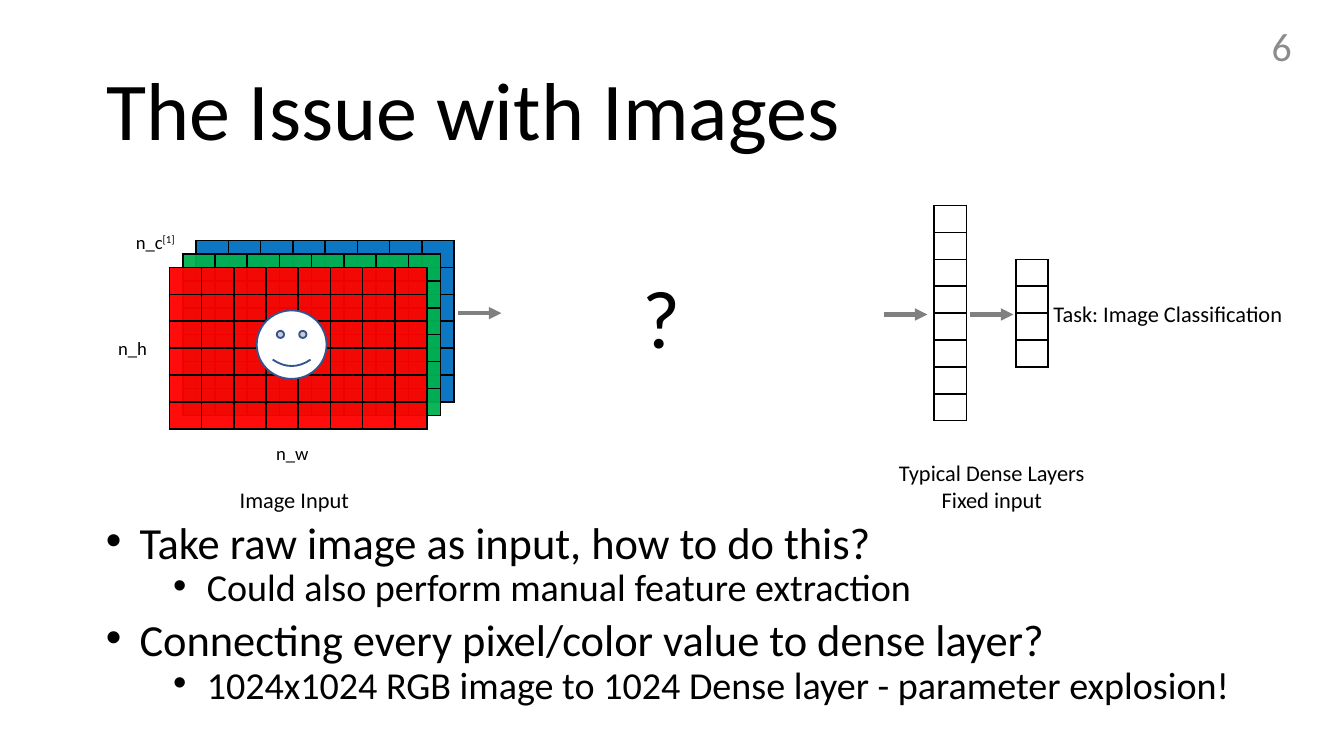
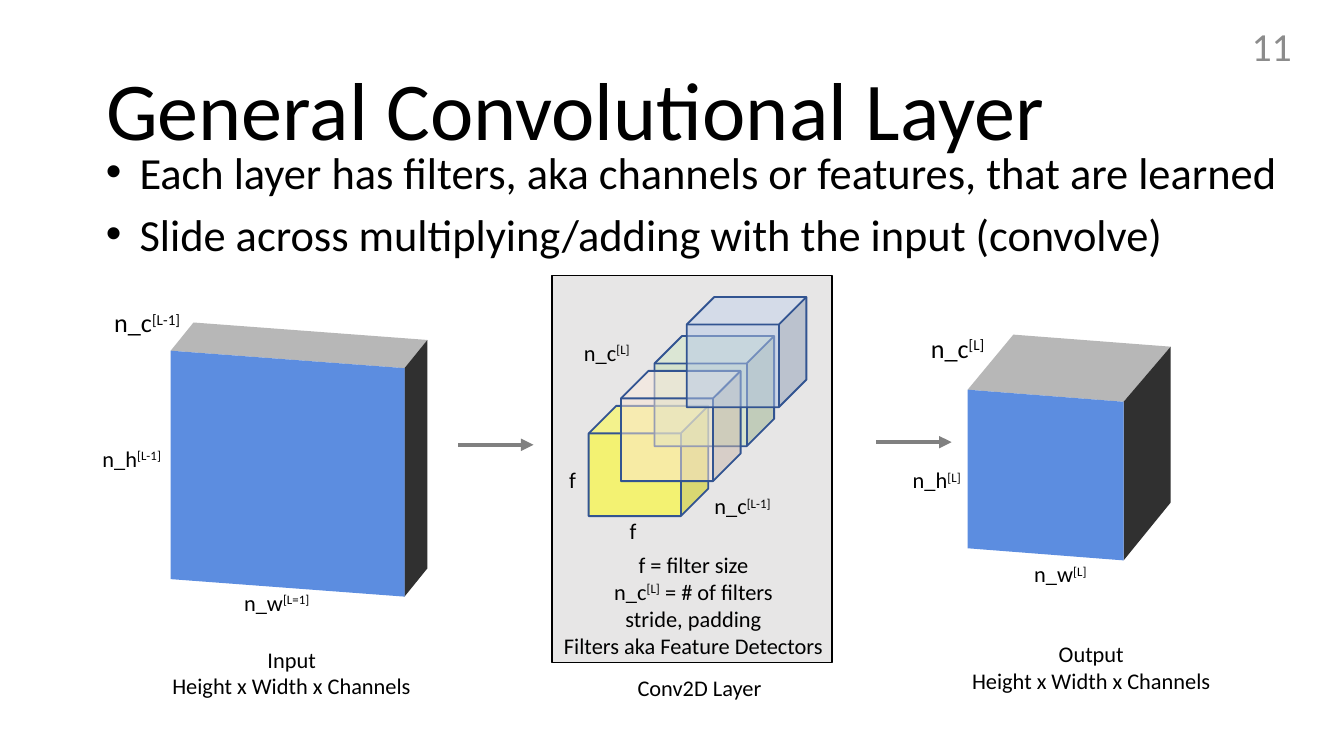
from dataclasses import dataclass
from typing import NamedTuple

from lxml.etree import SubElement
from pptx import Presentation
from pptx.dml.color import RGBColor
from pptx.enum.shapes import MSO_CONNECTOR, MSO_SHAPE
from pptx.enum.text import MSO_ANCHOR, PP_ALIGN
from pptx.oxml.ns import qn
from pptx.util import Emu, Pt

PX = 9144  # 100 px to the inch
SLIDE_WIDTH = 1000


@dataclass(frozen=True)
class Theme:
    font: str = "Calibri"
    ink: str = "000000"
    paper: str = "FFFFFF"
    number: str = "8C8C8C"
    arrow: str = "808080"
    outline: str = "325491"
    panel: str = "E7E6E6"
    red: str = "FF0000"
    green: str = "00B050"
    blue: str = "0070C0"
    box_front: str = "5C8DE0"
    box_top: str = "B7B7B7"
    box_side: str = "303030"
    filters: tuple[str, ...] = ("FFFF00", "C5E0B4", "FBE5D6", "B4C7E7")
    title_size: float = 44
    number_size: float = 21.3
    bullet_sizes: tuple[float, ...] = (23.8, 20.4)
    large: float = 14
    label: float = 12
    small: float = 10


THEME = Theme()


class Area(NamedTuple):
    left: int
    top: int
    width: int
    height: int


class Label(NamedTuple):
    text: str  # every second part between bars is superscript
    area: Area
    size: float = THEME.label


class Grid(NamedTuple):
    left: int
    top: int
    columns: int
    rows: int
    color: str


class Arrow(NamedTuple):
    start: int
    end: int
    y: int


class Bullet(NamedTuple):
    text: str
    level: int = 0


class Face(NamedTuple):
    color: str
    points: tuple[tuple[int, int], ...]


CELL_WIDTH, CELL_HEIGHT = 24, 20
TITLE_AREA = Area(69, 30, 862, 109)
NUMBER_AREA = Area(746, 19, 225, 30)
LEVEL_MARGINS = (25, 75)
LEVEL_SPACES = (10, 5)


def emu(*lengths: int) -> tuple[Emu, ...]:
    return tuple(Emu(length * PX) for length in lengths)


def rgb(color: str) -> RGBColor:
    return RGBColor.from_string(color)


def format_runs(paragraph, size: float, color: str = THEME.ink) -> None:
    for run in paragraph.runs:
        run.font.name = THEME.font
        run.font.size = Pt(size)
        run.font.color.rgb = rgb(color)


def set_fill(fill, color: str, opacity: int = 100) -> None:
    fill.solid()
    fill.fore_color.rgb = rgb(color)
    if opacity < 100:
        color_element = fill._xPr.find(f"{qn('a:solidFill')}/{qn('a:srgbClr')}")
        SubElement(color_element, qn("a:alpha"), val=str(opacity * 1000))


def style_shape(shape, fill: str, line: str | None, opacity: int = 100) -> None:
    shape.shadow.inherit = False
    set_fill(shape.fill, fill, opacity)
    if line is None:
        shape.line.fill.background()
    else:
        shape.line.color.rgb = rgb(line)
        shape.line.width = Pt(1)


def add_preset(slide, kind, area: Area, fill: str, line: str, opacity: int = 100) -> None:
    style_shape(slide.shapes.add_shape(kind, *emu(*area)), fill, line, opacity)


def add_label(slide, label: Label) -> None:
    frame = slide.shapes.add_textbox(*emu(*label.area)).text_frame
    frame.word_wrap = True
    frame.vertical_anchor = MSO_ANCHOR.MIDDLE
    frame.margin_left = frame.margin_right = frame.margin_top = frame.margin_bottom = 0
    for index, line in enumerate(label.text.split("\n")):
        paragraph = frame.add_paragraph() if index else frame.paragraphs[0]
        paragraph.alignment = PP_ALIGN.CENTER
        for part_index, part in enumerate(line.split("|")):
            if part:
                run = paragraph.add_run()
                run.text = part
                if part_index % 2:
                    run._r.get_or_add_rPr().set("baseline", "30000")
        format_runs(paragraph, label.size)


def add_bullets(slide, area: Area, bullets: list[Bullet], spacing: float) -> None:
    frame = slide.shapes.add_textbox(*emu(*area)).text_frame
    frame.word_wrap = True
    for index, bullet in enumerate(bullets):
        paragraph = frame.add_paragraph() if index else frame.paragraphs[0]
        paragraph.text = bullet.text
        paragraph.level = bullet.level
        paragraph.line_spacing = spacing
        if index:
            paragraph.space_before = Pt(LEVEL_SPACES[bullet.level])
        properties = paragraph._p.get_or_add_pPr()
        properties.set("marL", str(LEVEL_MARGINS[bullet.level] * PX))
        properties.set("indent", str(-25 * PX))
        SubElement(properties, qn("a:buFont"), typeface="Arial")
        SubElement(properties, qn("a:buChar"), char="•")
        format_runs(paragraph, THEME.bullet_sizes[bullet.level])


def add_grid(slide, grid: Grid) -> None:
    area = Area(grid.left, grid.top, grid.columns * CELL_WIDTH, grid.rows * CELL_HEIGHT)
    table = slide.shapes.add_table(grid.rows, grid.columns, *emu(*area)).table
    table.first_row = table.horz_banding = False
    for column in table.columns:
        column.width = Emu(CELL_WIDTH * PX)
    for row in table.rows:
        row.height = Emu(CELL_HEIGHT * PX)
    for cell in table.iter_cells():
        cell.margin_left = cell.margin_right = cell.margin_top = cell.margin_bottom = 0
        SubElement(cell.text_frame.paragraphs[0]._p, qn("a:endParaRPr"), sz="600")
        properties = cell._tc.get_or_add_tcPr()
        for side in ("lnL", "lnR", "lnT", "lnB"):
            border = SubElement(properties, qn(f"a:{side}"), w=str(Pt(1)))
            solid = SubElement(border, qn("a:solidFill"))
            SubElement(solid, qn("a:srgbClr"), val=THEME.ink)
        set_fill(cell.fill, grid.color, 95)


def add_arrow(slide, arrow: Arrow) -> None:
    connector = slide.shapes.add_connector(
        MSO_CONNECTOR.STRAIGHT, *emu(arrow.start, arrow.y, arrow.end, arrow.y))
    connector.line.color.rgb = rgb(THEME.arrow)
    connector.line.width = Pt(2.25)
    SubElement(connector.line._get_or_add_ln(), qn("a:tailEnd"), type="triangle")
    SubElement(connector._element.spPr, qn("a:effectLst"))


def add_face(slide, face: Face) -> None:
    builder = slide.shapes.build_freeform(*face.points[0], scale=PX)
    builder.add_line_segments(face.points[1:], close=True)
    style_shape(builder.convert_to_shape(), face.color, None)


def add_titled_slide(presentation, title: str, number: int):
    slide = presentation.slides.add_slide(presentation.slide_layouts[5])
    shape = slide.shapes.title
    shape.left, shape.top, shape.width, shape.height = emu(*TITLE_AREA)
    frame = shape.text_frame
    frame.text = title
    frame.vertical_anchor = MSO_ANCHOR.MIDDLE
    frame.paragraphs[0].alignment = PP_ALIGN.LEFT
    frame.paragraphs[0].line_spacing = 0.9
    format_runs(frame.paragraphs[0], THEME.title_size)

    frame = slide.shapes.add_textbox(*emu(*NUMBER_AREA)).text_frame
    frame.word_wrap = True
    frame.text = str(number)
    frame.vertical_anchor = MSO_ANCHOR.MIDDLE
    frame.paragraphs[0].alignment = PP_ALIGN.RIGHT
    format_runs(frame.paragraphs[0], THEME.number_size, THEME.number)
    return slide


def build_issue_slide(presentation) -> None:
    slide = add_titled_slide(presentation, "The Issue with Images", 6)
    add_bullets(slide, Area(69, 389, 862, 145), [
        Bullet("Take raw image as input, how to do this?"),
        Bullet("Could also perform manual feature extraction", 1),
        Bullet("Connecting every pixel/color value to dense layer?"),
        Bullet("1024x1024 RGB image to 1024 Dense layer - parameter explosion!", 1),
    ], 0.7)

    # Colour channels, back to front, then the dense layers
    for index, color in enumerate((THEME.blue, THEME.green, THEME.red)):
        add_grid(slide, Grid(146 - 10 * index, 179 + 10 * index, 8, 6, color))
    add_grid(slide, Grid(695, 153, 1, 8, THEME.paper))
    add_grid(slide, Grid(756, 193, 1, 4, THEME.paper))
    add_preset(slide, MSO_SHAPE.SMILEY_FACE, Area(191, 231, 52, 51),
               THEME.paper, THEME.outline)

    for arrow in (Arrow(341, 373, 233), Arrow(658, 690, 234), Arrow(722, 754, 234)):
        add_arrow(slide, arrow)
    for label in (
        Label("?", Area(444, 197, 97, 75), THEME.title_size),
        Label("n_w", Area(188, 323, 59, 28), THEME.small),
        Label("n_h", Area(69, 245, 59, 28), THEME.small),
        Label("n_c|[1]", Area(86, 166, 59, 28), THEME.small),
        Label("Typical Dense Layers\nFixed input", Area(622, 330, 232, 63)),
        Label("Image Input", Area(128, 350, 182, 44)),
        Label("Task: Image Classification", Area(764, 202, 210, 63)),
    ):
        add_label(slide, label)


def build_layer_slide(presentation) -> None:
    slide = add_titled_slide(presentation, "General Convolutional Layer", 11)
    add_bullets(slide, Area(69, 111, 913, 94), [
        Bullet("Each layer has filters, aka channels or features, that are learned"),
        Bullet("Slide across multiplying/adding with the input (convolve)"),
    ], 0.8)

    # Convolution panel with its stack of filters
    add_preset(slide, MSO_SHAPE.RECTANGLE, Area(411, 205, 208, 288), THEME.panel, THEME.ink)
    corners = ((438, 302), (487, 250), (462, 276), (511, 221))
    for (left, top), color in zip(corners, THEME.filters):
        add_preset(slide, MSO_SHAPE.CUBE, Area(left, top, 89, 82), color, THEME.outline, 50)

    # Input and output volumes
    for face in (
        Face(THEME.box_top, ((127, 261), (144, 240), (318, 253), (301, 274))),
        Face(THEME.box_side, ((301, 274), (318, 253), (318, 423), (301, 444))),
        Face(THEME.box_front, ((127, 261), (301, 274), (301, 444), (127, 431))),
        Face(THEME.box_top, ((720, 290), (754, 249), (871, 258), (836, 299))),
        Face(THEME.box_side, ((836, 299), (871, 258), (871, 374), (836, 417))),
        Face(THEME.box_front, ((720, 290), (836, 299), (836, 417), (720, 408))),
    ):
        add_face(slide, face)

    for arrow in (Arrow(341, 397, 331), Arrow(652, 708, 329)):
        add_arrow(slide, arrow)
    for label in (
        Label("Conv2D Layer", Area(441, 493, 159, 37)),
        Label("f = filter size\nn_c|[L]| = # of filters\nstride, padding\n"
              "Filters aka Feature Detectors", Area(407, 404, 218, 92)),
        Label("f", Area(410, 338, 32, 37)),
        Label("f", Area(455, 376, 32, 37)),
        Label("n_c|[L-1]", Area(510, 358, 85, 37)),
        Label("n_c|[L]", Area(409, 250, 85, 24)),
        Label("Input\nHeight x Width x Channels", Area(113, 469, 208, 63)),
        Label("n_w|[L=1]", Area(166, 434, 80, 28)),
        Label("n_h|[L-1]", Area(57, 327, 82, 28)),
        Label("n_c|[L-1]", Area(69, 226, 81, 28), THEME.large),
        Label("Output\nHeight x Width x Channels", Area(708, 465, 208, 63)),
        Label("n_w|[L]", Area(743, 413, 92, 28)),
        Label("n_h|[L]", Area(656, 343, 82, 28)),
        Label("n_c|[L]", Area(672, 245, 81, 28), THEME.large),
    ):
        add_label(slide, label)


def main() -> None:
    presentation = Presentation()
    presentation.slide_width = Emu(SLIDE_WIDTH * PX)
    presentation.slide_height = Emu(SLIDE_WIDTH * PX * 9 // 16)
    build_issue_slide(presentation)
    build_layer_slide(presentation)
    presentation.save("out.pptx")


if __name__ == "__main__":
    main()
